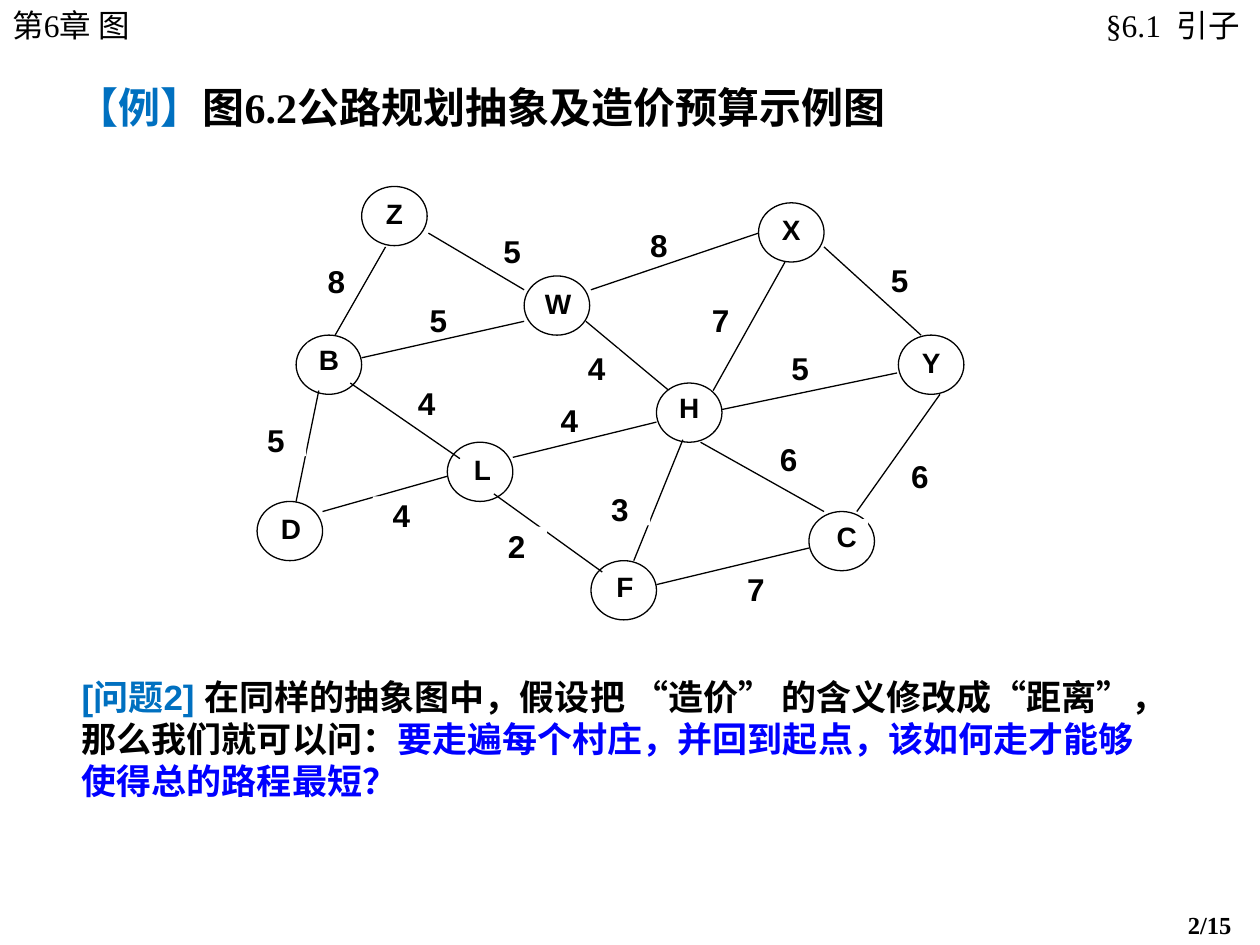
from pptx import Presentation
from pptx.dml.color import RGBColor
from pptx.enum.shapes import MSO_CONNECTOR as Connector, MSO_SHAPE as Shape
from pptx.enum.text import MSO_ANCHOR as Anchor, MSO_AUTO_SIZE as AutoSize, PP_ALIGN as Align
from pptx.oxml.ns import qn
from pptx.util import Inches, Pt
from lxml.etree import SubElement

COLORS = {"black": "000000", "white": "FFFFFF", "tag": "0070C0", "question": "0000FF"}
SERIF, SANS = "Times New Roman", "Arial"
NODE_WIDTH, NODE_HEIGHT = 0.52, 0.47
LETTER_WIDTH, LETTER_HEIGHT = 0.34, 0.31

NODES = {
    "B": ((2.35, 2.66), (2.44, 2.72)),
    "Z": ((2.87, 1.48), (2.96, 1.56)),
    "L": ((3.55, 3.51), (3.66, 3.59)),
    "W": ((4.16, 2.19), (4.26, 2.27)),
    "X": ((6.02, 1.61), (6.11, 1.69)),
    "D": ((2.04, 3.98), (2.14, 4.06)),
    "Y": ((7.13, 2.66), (7.22, 2.74)),
    "C": ((6.42, 4.06), (6.55, 4.12)),
    "H": ((5.21, 3.04), (5.3, 3.1)),
    "F": ((4.69, 4.45), (4.79, 4.52)),
}

EDGES = [
    ((3.4, 1.85, 4.16, 2.3), "5", (3.86, 1.84, 0.41, 0.28)),
    ((3.06, 1.96, 2.66, 2.66), "8", (2.5, 2.08, 0.34, 0.21)),
    ((4.69, 2.3, 6.02, 1.85), "8", (5.05, 1.79, 0.36, 0.22)),
    ((4.65, 2.55, 5.31, 3.1), "4", (4.56, 2.77, 0.35, 0.24)),
    ((6.54, 1.96, 7.31, 2.66), "5", (6.95, 2.07, 0.38, 0.21)),
    ((5.66, 3.1, 6.23, 2.08), "7", (5.55, 2.39, 0.34, 0.28)),
    ((5.73, 3.25, 7.12, 2.96), "5", (6.11, 2.77, 0.48, 0.28)),
    ((4.07, 3.63, 5.21, 3.35), "4", (4.34, 3.18, 0.36, 0.28)),
    ((5.56, 3.51, 6.54, 4.06), "6", (6.06, 3.49, 0.4, 0.27)),
    ((6.8, 4.06, 7.46, 3.13), "6", (7.13, 3.63, 0.34, 0.31)),
    ((5.21, 4.64, 6.42, 4.35), "7", (5.76, 4.52, 0.48, 0.28)),
    ((2.56, 4.06, 3.55, 3.78), "4", (2.96, 3.94, 0.45, 0.28)),
    ((3.92, 3.92, 4.78, 4.54), "2", (3.86, 4.18, 0.48, 0.28)),
    ((2.87, 2.84, 4.16, 2.55), "5", (3.3, 2.39, 0.36, 0.25)),
    ((2.78, 3.04, 3.65, 3.64), "4", (3.19, 3.05, 0.39, 0.26)),
    ((2.53, 3.1, 2.35, 3.98), "5", (1.95, 3.34, 0.48, 0.28)),
    ((5.03, 4.45, 5.42, 3.49), "3", (4.68, 3.89, 0.48, 0.28)),
]


class SlideBuilder:
    """Draws the styled text and graph parts on the current slide."""

    def __init__(self, slide):
        self.slide = slide
        self.graph = slide.shapes.add_group_shape()

    def fill_text(self, shape, runs, size, bold, align, insets):
        frame = shape.text_frame
        frame.word_wrap = True
        frame.vertical_anchor = Anchor.TOP
        frame.margin_left, frame.margin_top, frame.margin_right, frame.margin_bottom = map(Inches, insets)
        paragraph = frame.paragraphs[0]
        paragraph.alignment = align
        for text, font_name, color in runs:
            run = paragraph.add_run()
            run.text = text
            run.font.name = font_name
            run.font.size = Pt(size)
            run.font.bold = bold
            run.font.color.rgb = RGBColor.from_string(COLORS[color])

    def text(self, box, runs, size, bold=False, align=Align.LEFT, insets=(0.1, 0.05, 0.1, 0.05)):
        shape = self.slide.shapes.add_textbox(*map(Inches, box))
        self.fill_text(shape, runs, size, bold, align, insets)
        shape.text_frame.auto_size = AutoSize.SHAPE_TO_FIT_TEXT

    def white_shape(self, kind, box):
        shape = self.graph.shapes.add_shape(kind, *map(Inches, box))
        shape.shadow.inherit = False
        shape.fill.solid()
        shape.fill.fore_color.rgb = RGBColor.from_string(COLORS["white"])
        return shape

    def outline(self, line):
        line.color.rgb = RGBColor.from_string(COLORS["black"])
        line.width = Pt(0.75)

    def node(self, left, top):
        shape = self.white_shape(Shape.OVAL, (left, top, NODE_WIDTH, NODE_HEIGHT))
        self.outline(shape.line)

    def edge(self, ends):
        connector = self.graph.shapes.add_connector(Connector.STRAIGHT, *map(Inches, ends))
        self.outline(connector.line)
        SubElement(connector._element.spPr, qn("a:effectLst"))

    def label(self, text, box, size):
        shape = self.white_shape(Shape.RECTANGLE, box)
        shape.line.fill.background()
        self.fill_text(shape, [(text, SANS, "black")], size, True, Align.CENTER, (0, 0, 0, 0))


def main():
    presentation = Presentation()
    presentation.slide_width, presentation.slide_height = Inches(10), Inches(7.5)
    builder = SlideBuilder(presentation.slides.add_slide(presentation.slide_layouts[6]))

    builder.text((0, 0, 1.74, 0.4), [("第6章 图", SERIF, "black")], 18)
    builder.text((8.47, 0, 1.53, 0.4), [("§6.1  引子", SERIF, "black")], 18,
                 align=Align.RIGHT, insets=(0.12, 0.05, 0.16, 0.05))
    builder.text((0.51, 0.6, 8.9, 0.5), [
        ("【例】", SANS, "tag"),
        ("图6.2公路规划抽象及造价预算示例图", SERIF, "black"),
    ], 24, bold=True)
    builder.text((0.55, 5.31, 8.75, 1.1), [
        ("[问题2] ", SANS, "tag"),
        ("在同样的抽象图中，假设把 “造价” 的含义修改成“距离”，那么我们就可以问：", SANS, "black"),
        ("要走遍每个村庄，并回到起点，该如何走才能够使得总的路程最短？", SANS, "question"),
    ], 20, bold=True)
    builder.text((9.33, 7.17, 0.67, 0.34), [("2/15", SERIF, "black")], 14, bold=True)

    for corner, _ in NODES.values():
        builder.node(*corner)
    for ends, _, _ in EDGES:
        builder.edge(ends)
    for _, weight, box in EDGES:
        builder.label(weight, box, 18)
    for letter, (_, corner) in NODES.items():
        builder.label(letter, (*corner, LETTER_WIDTH, LETTER_HEIGHT), 16)

    presentation.save("out.pptx")


if __name__ == "__main__":
    main()
